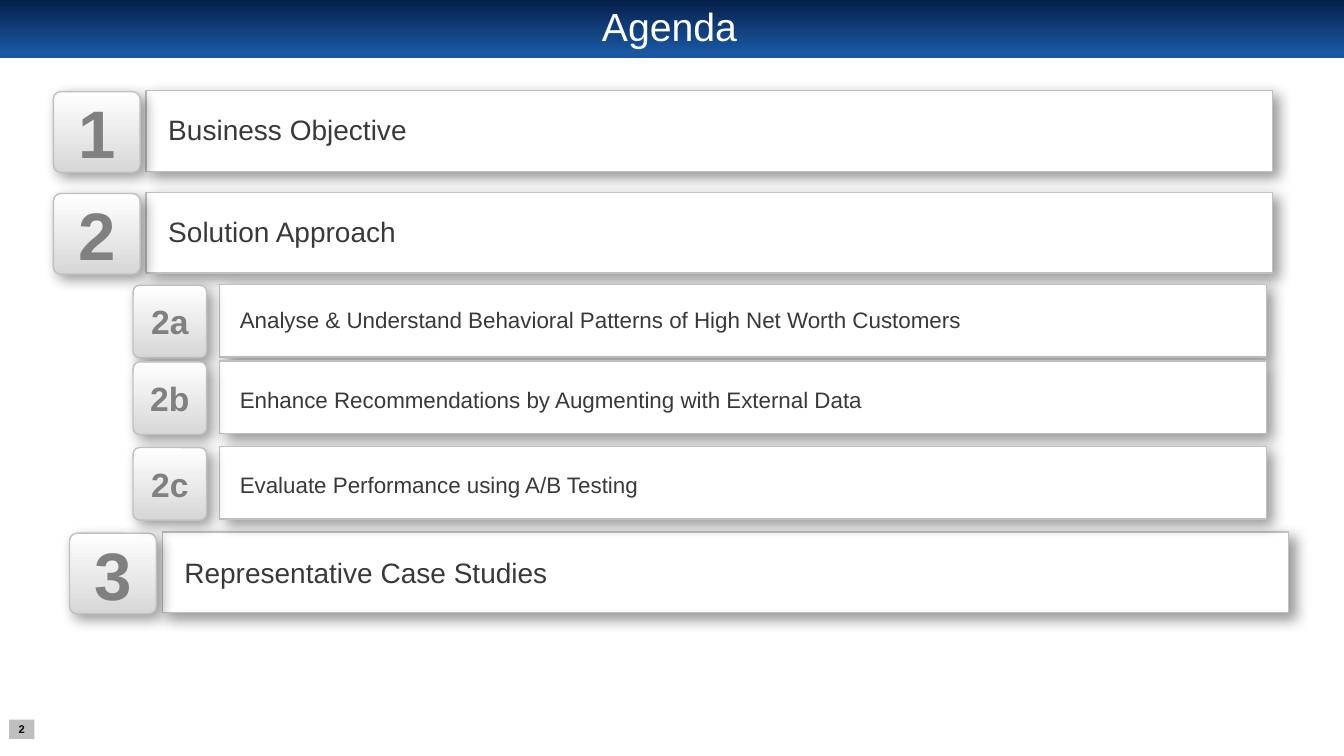
from collections import namedtuple

from lxml.etree import SubElement
from pptx import Presentation
from pptx.dml.color import RGBColor
from pptx.enum.shapes import MSO_SHAPE as Preset
from pptx.enum.text import MSO_ANCHOR as Anchor, PP_ALIGN as Align
from pptx.oxml.ns import qn
from pptx.util import Inches, Pt

WHITE = RGBColor(0xFF, 0xFF, 0xFF)
BLACK = RGBColor(0x00, 0x00, 0x00)
NAVY = RGBColor(0x05, 0x20, 0x49)
BLUE = RGBColor(0x19, 0x57, 0xA3)
SILVER = RGBColor(0xD7, 0xD7, 0xD7)
EDGE = RGBColor(0xC0, 0xC0, 0xC0)
PAGE_GRAY = RGBColor(0xBF, 0xBF, 0xBF)
BADGE_TEXT = RGBColor(0x80, 0x80, 0x80)
LABEL_TEXT = RGBColor(0x3B, 0x38, 0x38)

WIDTH, HEIGHT = 13.33, 7.5
Box = namedtuple("Box", "left top width height")
Level = namedtuple("Level", "width height badge bar indent badge_size label_size label_height")
Item = namedtuple("Item", "level left top number label label_width label_drop")

MAIN = Level(12.09, 0.8, 0.86, 0.92, 0.12, 48, 20, 0.44)
SUB = Level(11.24, 0.72, 0.73, 0.86, 0.1, 24, 16, 0.37)
ITEMS = [
    Item(MAIN, 0.53, 0.9, "1", "Business Objective", 2.59, 0.17),
    Item(MAIN, 0.53, 1.91, "2", "Solution Approach", 2.49, 0.17),
    Item(SUB, 1.32, 2.82, "2a",
         "Analyse & Understand Behavioral Patterns of High Net Worth Customers", 7.45, 0.17),
    Item(MAIN, 0.69, 5.28, "3", "Representative Case Studies", 3.83, 0.18),
    Item(SUB, 1.32, 3.58, "2b",
         "Enhance Recommendations by Augmenting with External Data", 6.46, 0.2),
    Item(SUB, 1.32, 4.43, "2c", "Evaluate Performance using A/B Testing", 4.24, 0.2),
]


def add_box(slide, preset, box):
    """Add a preset shape without line or inherited shadow."""
    shape = slide.shapes.add_shape(preset, *map(Inches, box))
    shape.shadow.inherit = False
    shape.line.fill.background()
    return shape


def fill_solid(shape, color):
    """Fill a shape with one colour."""
    shape.fill.solid()
    shape.fill.fore_color.rgb = color


def fill_gradient(shape, stops, angle):
    """Fill a shape with a two-stop linear gradient."""
    shape.fill.gradient()
    shape.fill.gradient_angle = angle
    for stop, (position, color) in zip(shape.fill.gradient_stops, stops):
        stop.position = position
        stop.color.rgb = color


def raise_card(shape):
    """Give a shape the gray edge and soft shadow of the agenda cards."""
    shape.line.color.rgb = EDGE
    shape.line.width = Pt(1)
    effects = shape._element.spPr.find(qn("a:effectLst"))
    shadow = SubElement(effects, qn("a:outerShdw"), blurRad=str(Pt(10)), dist=str(Pt(5)),
                        dir="2700000", algn="tl", rotWithShape="0")
    color = SubElement(shadow, qn("a:srgbClr"), val=str(BLACK))
    SubElement(color, qn("a:alpha"), val="40000")


def write(shape, text, size, color, bold=False, align=Align.CENTER, anchor=Anchor.MIDDLE,
          inset=True, wrap=True):
    """Write one run of text into a shape and return its paragraph."""
    frame = shape.text_frame
    frame.word_wrap = wrap
    frame.vertical_anchor = anchor
    if not inset:
        frame.margin_left = frame.margin_right = frame.margin_top = frame.margin_bottom = 0
    paragraph = frame.paragraphs[0]
    paragraph.alignment = align
    run = paragraph.add_run()
    run.text = text
    run.font.name = "Arial"
    run.font.size = Pt(size)
    run.font.bold = bold
    run.font.color.rgb = color
    return paragraph


def add_header(slide, box, title):
    """Draw the title band and its centred title."""
    band = add_box(slide, Preset.ROUNDED_RECTANGLE, box)
    band.adjustments[0] = 0
    fill_gradient(band, [(0, NAVY), (0.9, BLUE)], 270)
    title_box = Box(box.left + 0.66, box.top + 0.06, 11.96, 0.45)
    text_box = slide.shapes.add_textbox(*map(Inches, title_box))
    write(text_box, title, 28, WHITE).line_spacing = 0.9


def add_page_number(slide, box, number):
    """Draw the small page number tile."""
    tile = add_box(slide, Preset.RECTANGLE, box)
    fill_solid(tile, PAGE_GRAY)
    write(tile, number, 8, BLACK, bold=True, inset=False, wrap=False)


def add_item(slide, box, item):
    """Draw one agenda row: bar, numbered badge and label."""
    level = item.level
    bar_left = box.left + level.bar
    bar = add_box(slide, Preset.RECTANGLE,
                  Box(bar_left, box.top, box.width - level.bar, box.height))
    fill_solid(bar, WHITE)
    raise_card(bar)

    badge = add_box(slide, Preset.ROUNDED_RECTANGLE,
                    Box(box.left, box.top + 0.01, level.badge, box.height))
    badge.adjustments[0] = 0.09
    fill_gradient(badge, [(0, SILVER), (1, WHITE)], 90)
    raise_card(badge)
    write(badge, item.number, level.badge_size, BADGE_TEXT, bold=True, inset=False)

    label_box = Box(bar_left + level.indent, box.top + item.label_drop,
                    item.label_width, level.label_height)
    label = slide.shapes.add_textbox(*map(Inches, label_box))
    write(label, item.label, level.label_size, LABEL_TEXT, align=Align.LEFT,
          anchor=Anchor.TOP, wrap=False)


def add_agenda_slide(presentation):
    """Build the agenda slide."""
    slide = presentation.slides.add_slide(presentation.slide_layouts[6])
    add_header(slide, Box(0, 0, WIDTH, 0.58), "Agenda")
    add_page_number(slide, Box(0.09, 7.14, 0.25, 0.19), "2")
    for item in ITEMS:
        add_item(slide, Box(item.left, item.top, item.level.width, item.level.height), item)


def main():
    """Create and save the presentation."""
    presentation = Presentation()
    presentation.slide_width = Inches(WIDTH)
    presentation.slide_height = Inches(HEIGHT)
    add_agenda_slide(presentation)
    presentation.save("out.pptx")


if __name__ == "__main__":
    main()
